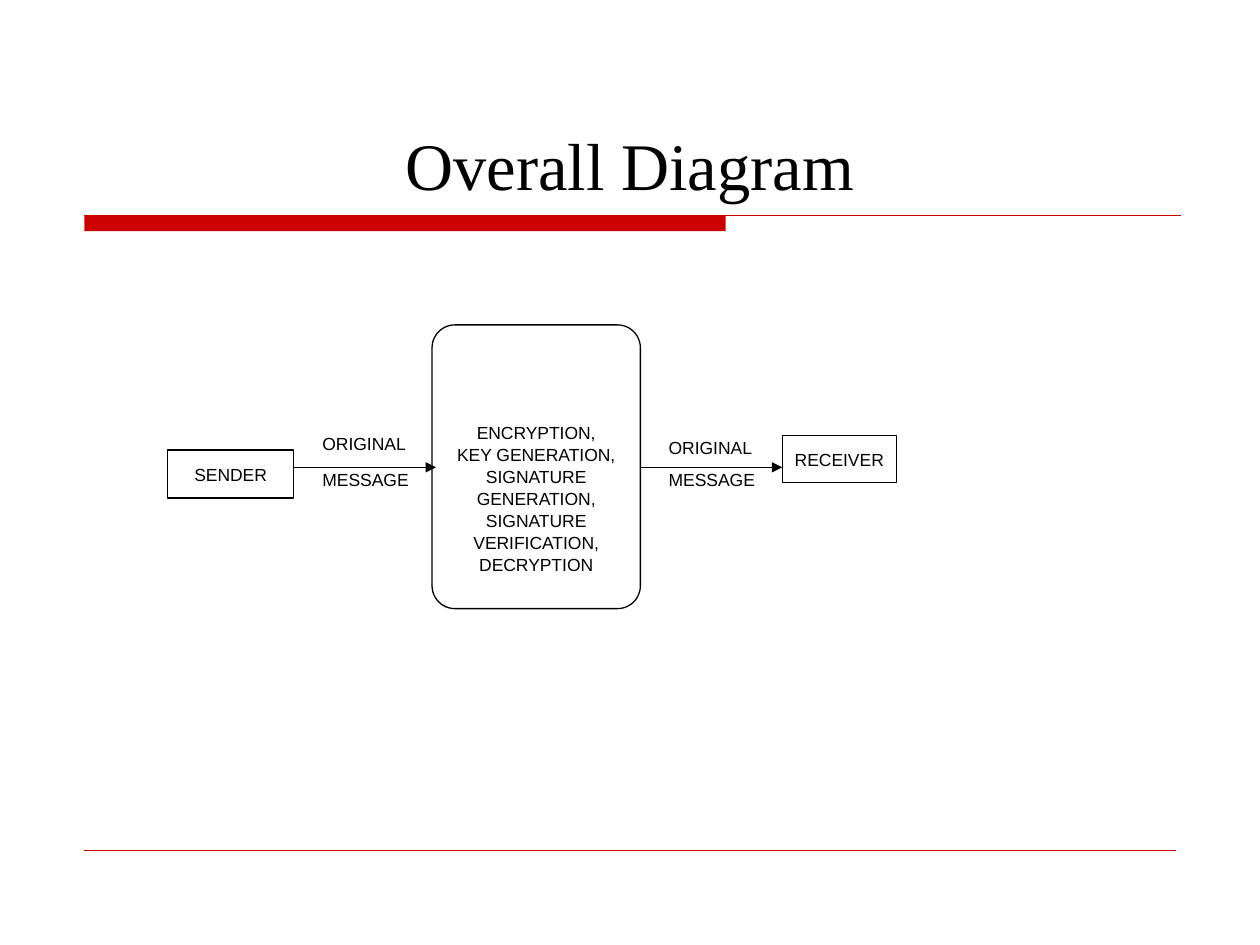
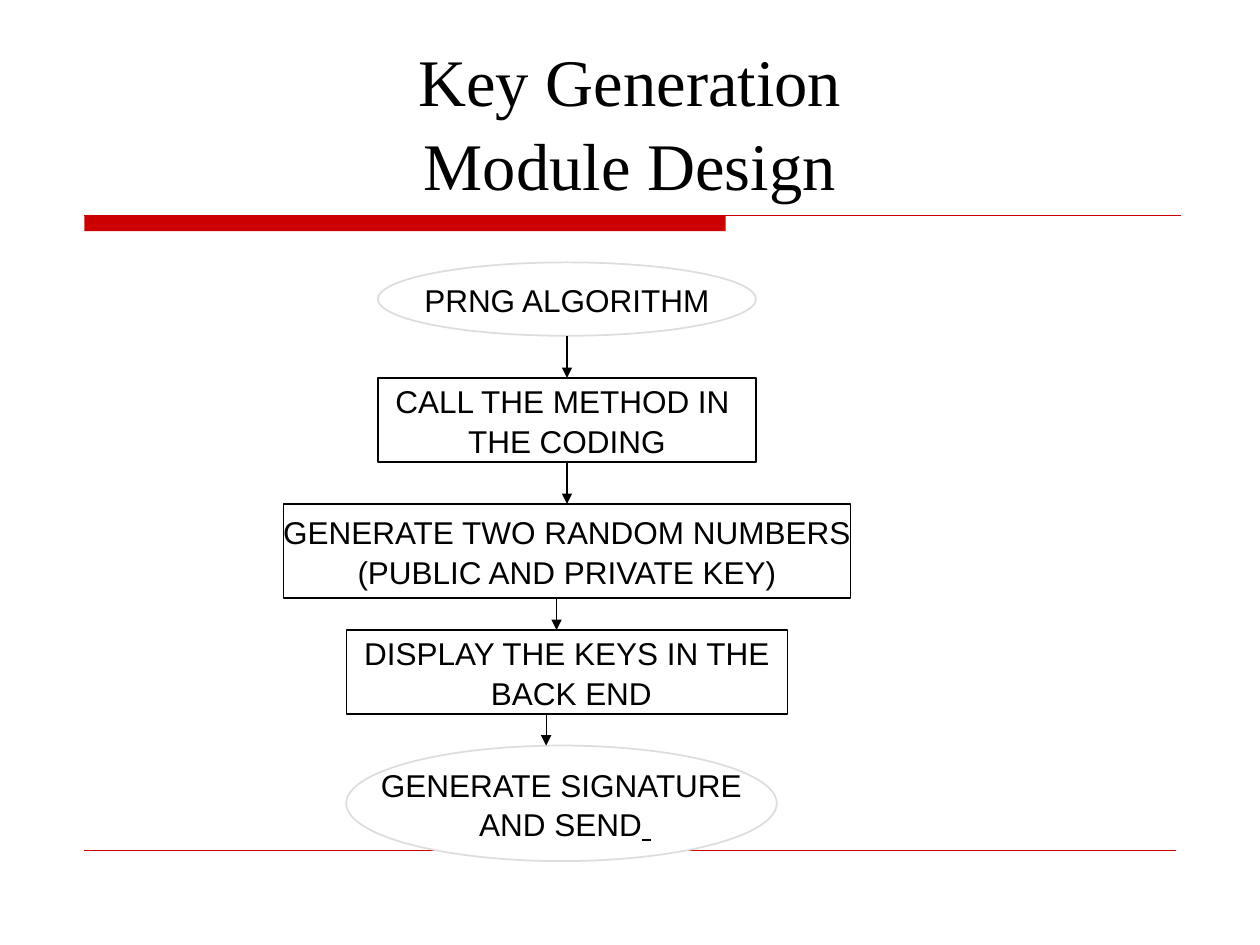
import itertools

import lxml.etree
import pptx
import pptx.dml.color
import pptx.enum.shapes
import pptx.enum.text
import pptx.oxml.ns
import pptx.util

Cm = pptx.util.Cm
Pt = pptx.util.Pt
SHAPE = pptx.enum.shapes.MSO_SHAPE
ANCHOR = pptx.enum.text.MSO_ANCHOR
COLORS = {"paper": "FFFFFF", "ink": "000000", "accent": "CC0000", "pale": "DDDDDD"}


def rgb(name):
    return pptx.dml.color.RGBColor.from_string(COLORS[name])


class Deck:
    title_font = "Times New Roman"
    body_font = "Arial"
    line_spacing = 1.05

    def __init__(self):
        self.prs = pptx.Presentation()
        self.prs.slide_width, self.prs.slide_height = Cm(25.4), Cm(19.05)
        self.s = None

    def slide(self, title):
        self.s = self.prs.slides.add_slide(self.prs.slide_layouts[5])
        self.box(SHAPE.RECTANGLE, 1.7, 4.34, 12.93, 0.32, fill="accent", line=None)
        self.line(1.7, 4.34, 23.8, 4.34, color="accent")
        self.line(1.7, 17.14, 23.7, 17.14, color="accent", width=0.25)
        sp = self.s.shapes.title
        sp.left, sp.top, sp.width, sp.height = Cm(1.59), Cm(0.85), Cm(22.22), Cm(3.39)
        tf = sp.text_frame
        tf.auto_size = pptx.enum.text.MSO_AUTO_SIZE.NONE
        tf.vertical_anchor = ANCHOR.BOTTOM
        tf.paragraphs[0].text = title
        self.style(tf.paragraphs[0], self.title_font, 38)

    def style(self, p, font, size):
        p.alignment = pptx.enum.text.PP_ALIGN.CENTER
        p.line_spacing = self.line_spacing
        p.font.name, p.font.size = font, Pt(size)
        p.font.color.rgb = rgb("ink")

    def box(self, kind, x, y, w, h, fill="paper", line="ink", width=0.75):
        sp = self.s.shapes.add_shape(kind, Cm(x), Cm(y), Cm(w), Cm(h))
        sp.shadow.inherit = False
        sp.fill.solid()
        sp.fill.fore_color.rgb = rgb(fill)
        if line:
            sp.line.color.rgb = rgb(line)
            sp.line.width = Pt(width)
        else:
            sp.line.fill.background()
        return sp

    def text(self, sp, lines, size=10, wrap=False, inset=(0.18, 0.1), top=None):
        tf = sp.text_frame
        tf.word_wrap = wrap
        tf.vertical_anchor = ANCHOR.MIDDLE
        tf.margin_left = tf.margin_right = Cm(inset[0])
        tf.margin_top = tf.margin_bottom = Cm(inset[1])
        if top is not None:
            tf.margin_top = Cm(top)
        for i, line in enumerate(lines):
            p = tf.add_paragraph() if i else tf.paragraphs[0]
            p.text = line
            self.style(p, self.body_font, size)
        return tf

    def line(self, x1, y1, x2, y2, color="ink", width=0.75, arrow=False):
        c = self.s.shapes.add_connector(
            pptx.enum.shapes.MSO_CONNECTOR.STRAIGHT, Cm(x1), Cm(y1), Cm(x2), Cm(y2))
        c.line.color.rgb = rgb(color)
        c.line.width = Pt(width)
        qn = pptx.oxml.ns.qn
        if arrow:
            lxml.etree.SubElement(c.line._get_or_add_ln(), qn("a:tailEnd"), type="triangle")
        lxml.etree.SubElement(c._element.spPr, qn("a:effectLst"))


def overall_diagram(deck):
    deck.slide("Overall Diagram")
    module = deck.box(SHAPE.ROUNDED_RECTANGLE, 8.71, 6.55, 4.2, 5.72)
    module.adjustments[0] = 0.11
    deck.text(module, ["ENCRYPTION,", "KEY GENERATION,", "SIGNATURE GENERATION,",
                       "SIGNATURE VERIFICATION,", "DECRYPTION"], wrap=True, top=1.37)
    deck.text(deck.box(SHAPE.RECTANGLE, 3.38, 9.07, 2.54, 0.97), ["SENDER"])
    deck.text(deck.box(SHAPE.RECTANGLE, 15.77, 8.78, 2.3, 0.95), ["RECEIVER"])
    for x, upper_height in ((6.25, 0.3), (13.23, 0.46)):
        for word, y, w, h in (("ORIGINAL", 8.79, 2.18, upper_height),
                              ("MESSAGE", 9.42, 2.24, 0.48)):
            deck.text(deck.box(SHAPE.RECTANGLE, x, y, w, h, line="paper"), [word])
    for x1, x2 in ((5.92, 8.79), (12.9, 15.77)):
        deck.line(x1, 9.42, x2, 9.42, arrow=True)


def key_generation(deck):
    deck.slide("Key Generation\vModule Design")
    steps = [
        (SHAPE.OVAL, 11.43, 5.29, 7.62, 1.48, ["PRNG ALGORITHM"]),
        (SHAPE.RECTANGLE, 11.43, 7.62, 7.62, 1.7, ["CALL THE METHOD IN ", "THE CODING"]),
        (SHAPE.RECTANGLE, 11.43, 10.16, 11.43, 1.9,
         ["GENERATE TWO RANDOM NUMBERS", "(PUBLIC AND PRIVATE KEY)"]),
        (SHAPE.RECTANGLE, 11.43, 12.7, 8.89, 1.7, ["DISPLAY THE KEYS IN THE", " BACK END"]),
        (SHAPE.OVAL, 11.32, 15.03, 8.68, 2.33, ["GENERATE SIGNATURE", " AND SEND"]),
    ]
    for kind, center, y, w, h, lines in steps:
        outline = "pale" if kind == SHAPE.OVAL else "ink"
        sp = deck.box(kind, center - w / 2, y, w, h, line=outline, width=1)
        tf = deck.text(sp, lines, size=18, inset=(0.25, 0.13))
    r = tf.paragraphs[-1].add_run()
    r.text = " "
    r.font.underline = True
    arrow_xs = (11.43, 11.43, 11.22, 11.01)
    for x, (upper, lower) in zip(arrow_xs, itertools.pairwise(steps)):
        deck.line(x, upper[2] + upper[4], x, lower[2], arrow=True)


def main():
    deck = Deck()
    overall_diagram(deck)
    key_generation(deck)
    deck.prs.save("out.pptx")


if __name__ == "__main__":
    main()
